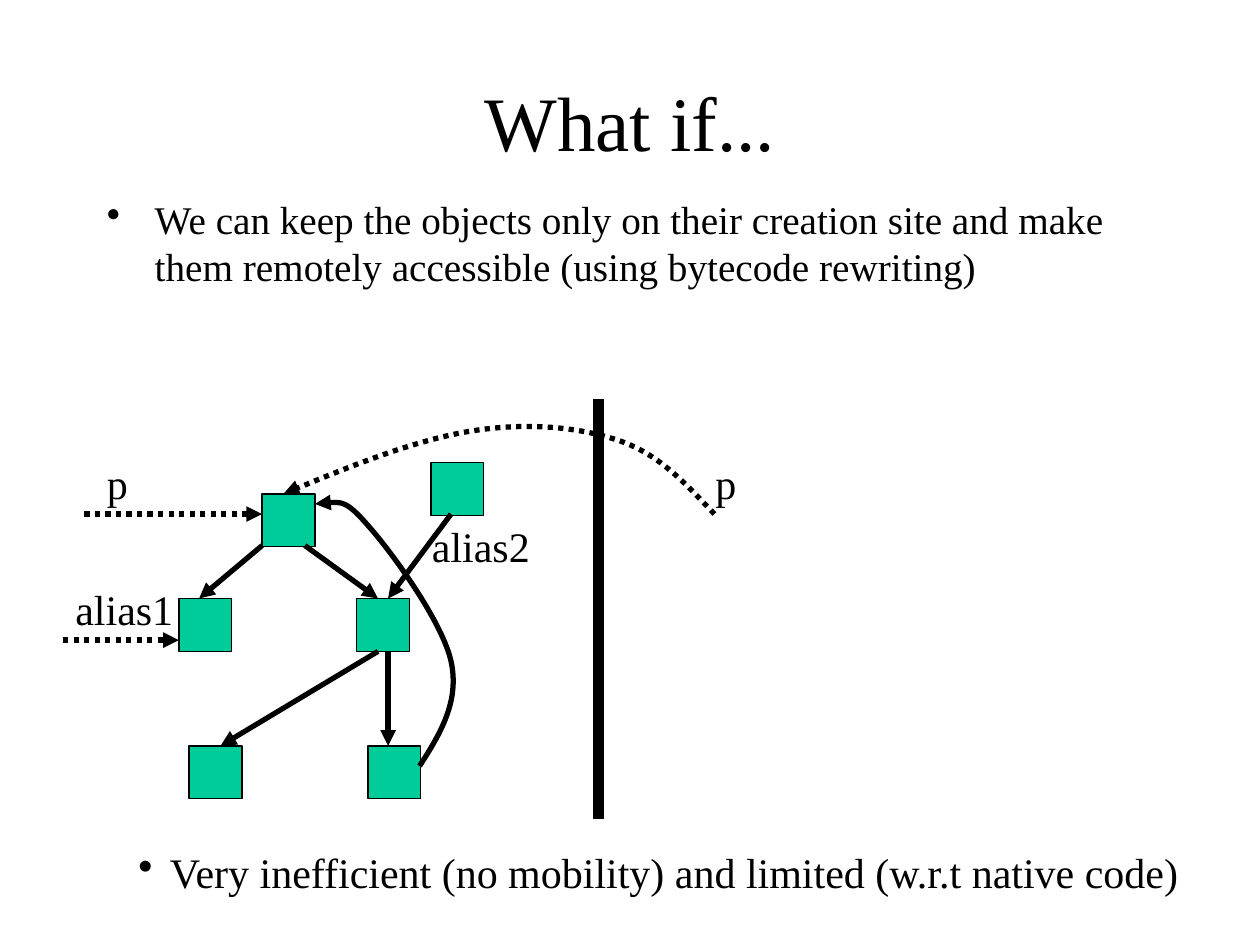
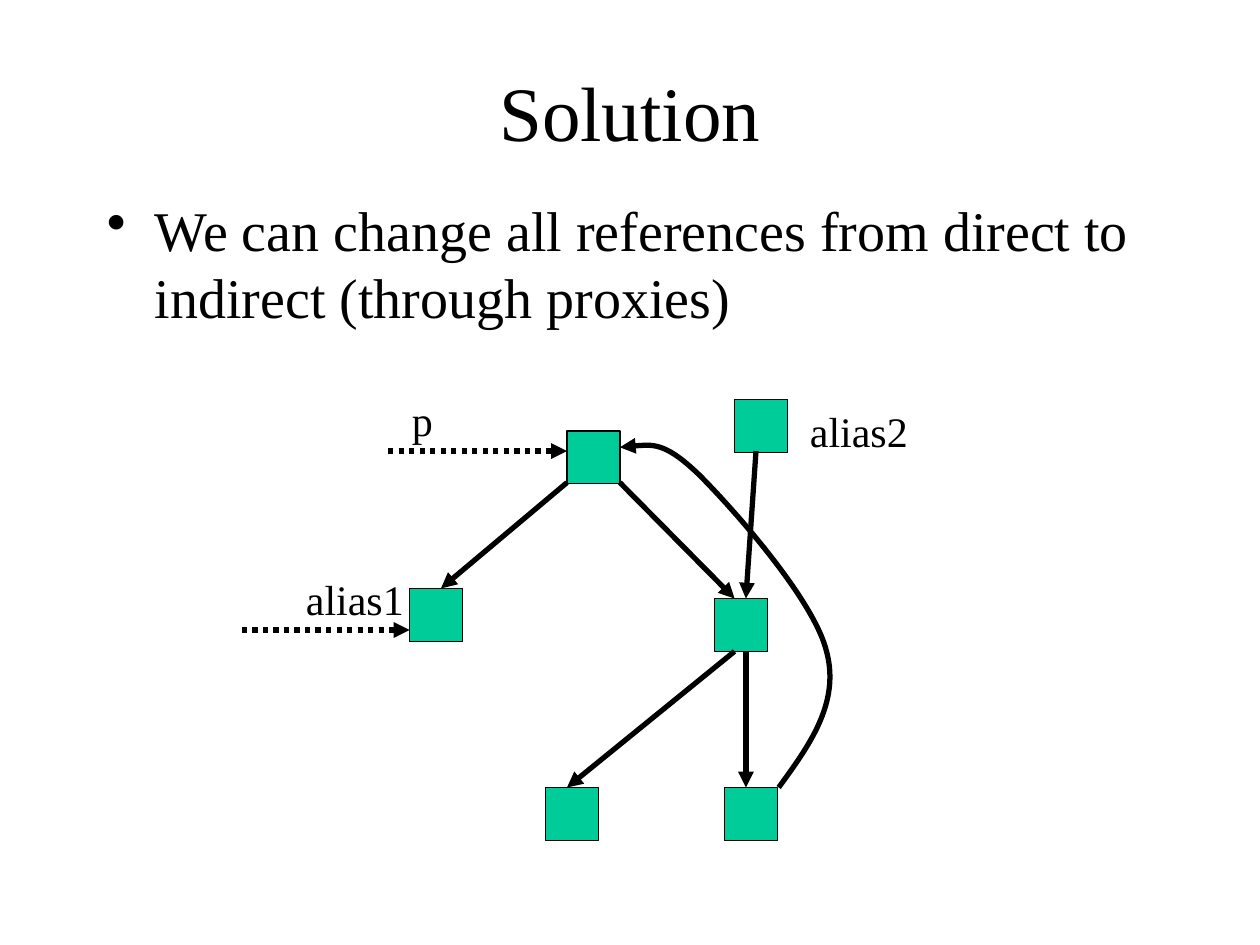
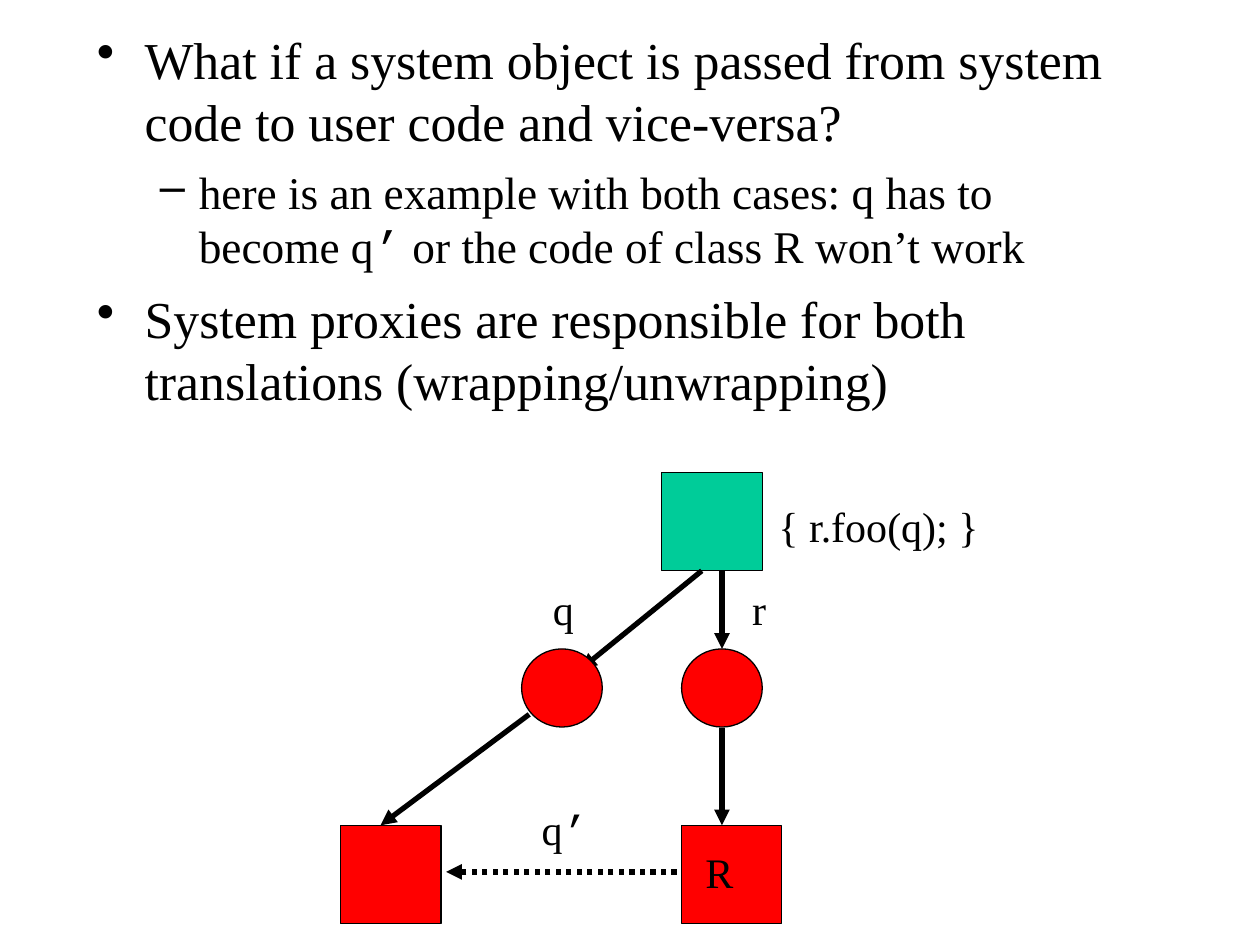
from lxml import etree
from pptx import Presentation
from pptx.dml.color import RGBColor
from pptx.enum.dml import MSO_LINE
from pptx.enum.shapes import MSO_CONNECTOR, MSO_SHAPE
from pptx.enum.text import MSO_ANCHOR, PP_ALIGN
from pptx.oxml.ns import qn
from pptx.util import Inches, Pt

BLACK = RGBColor(0x00, 0x00, 0x00)
USER_GREEN = RGBColor(0x00, 0xCC, 0x99)
SYSTEM_RED = RGBColor(0xFF, 0x00, 0x00)
FONT, CODE_FONT = "Times New Roman", "Courier New"
NODE = 0.42

# Bullet styles: character, left margin, hanging indent, space before
POINT = ("•", 0.38, -0.38, 8)
SUBPOINT = ("–", 0.81, -0.31, 7)
CONCLUSION = ("•", 1.25, -0.25, 6)


def add_text(slide, box, paragraphs):
    """Each paragraph is (text, size, bullet style or None)."""
    frame = slide.shapes.add_textbox(*map(Inches, box)).text_frame
    frame.word_wrap = True
    for i, (text, size, bullet) in enumerate(paragraphs):
        paragraph = frame.add_paragraph() if i else frame.paragraphs[0]
        before, prime, after = text.partition("’") if "q’" in text else (text, "", "")
        for part in filter(None, (before, prime, after)):
            run = paragraph.add_run()
            run.text = part
            run.font.name = CODE_FONT if part == "’" else FONT
            run.font.size = Pt(size)
            run.font.color.rgb = BLACK
        if bullet:
            mark, margin, indent, space = bullet
            paragraph.space_before = Pt(space)
            props = paragraph._p.get_or_add_pPr()
            props.set("marL", str(Inches(margin)))
            props.set("indent", str(Inches(indent)))
            etree.SubElement(props, qn("a:buChar")).set("char", mark)
    return frame


def style_line(shape, width=3, dotted=False, arrow=True):
    shape.line.color.rgb = BLACK
    shape.line.width = Pt(width)
    if dotted:
        shape.line.dash_style = MSO_LINE.ROUND_DOT
    if arrow:
        etree.SubElement(shape.line._get_or_add_ln(), qn("a:tailEnd")).set("type", "triangle")
    if shape._element.spPr.find(qn("a:effectLst")) is None:
        etree.SubElement(shape._element.spPr, qn("a:effectLst"))


# Content: nodes are (left, top), arrows (x1, y1, x2, y2),
# curves a start point followed by Bézier control points
remote_access = {
    "title": ("What if...", 0.33),
    "texts": [
        ((0.75, 1.5, 8.5, 1.25), [
            ("We can keep the objects only on their creation site and make them "
             "remotely accessible (using bytecode rewriting)", 22.4, POINT)]),
        ((0, 6.67, 10, 0.67), [
            ("Very inefficient (no mobility) and limited (w.r.t native code)", 24, CONCLUSION)]),
    ],
    "boxes": [(x, y, NODE, NODE, USER_GREEN) for x, y in (
        (2.08, 3.92), (1.5, 5.92), (2.92, 5.92), (1.42, 4.75), (2.83, 4.75), (3.42, 3.67))],
    "arrows": [(2.08, 4.33, 1.58, 4.75), (2.42, 4.33, 3, 4.75), (3.08, 5.17, 3.08, 5.92),
               (3, 5.17, 1.75, 5.92), (3.58, 4.08, 3.08, 4.75)],
    "dotted": [(0.67, 4.08, 2.08, 4.08), (0.5, 5.08, 1.42, 5.08)],
    "divider": [(4.75, 3.17, 4.75, 6.5)],
    "curves": [
        (False, [(3.33, 6.08), (3.49, 5.83), (3.65, 5.57), (3.58, 5.25), (3.51, 4.93),
                 (3.1, 4.37), (2.92, 4.17), (2.74, 3.96), (2.62, 3.98), (2.5, 4)]),
        (True, [(5.67, 4.08), (5.45, 3.85), (5.24, 3.61), (4.92, 3.5), (4.6, 3.39),
                (4.19, 3.35), (3.75, 3.42), (3.31, 3.49), (2.78, 3.7), (2.25, 3.92)]),
    ],
    "labels": [("p", 0.75, 3.58, 0.58), ("p", 5.58, 3.58, 0.58),
               ("alias1", 0.5, 4.58, 1), ("alias2", 3.33, 4.08, 1)],
}
solution = {
    "title": ("Solution", 0.25),
    "texts": [((0.75, 1.5, 8.5, 1.25), [
        ("We can change all references from direct to indirect (through proxies)", 32, POINT)])],
    "boxes": [(x, y, NODE, NODE, USER_GREEN) for x, y in (
        (4.5, 3.42), (4.33, 6.25), (5.75, 6.25), (3.25, 4.67), (5.67, 4.75), (5.83, 3.17))],
    "arrows": [(4.5, 3.83, 3.5, 4.67), (4.92, 3.83, 5.83, 4.75), (5.92, 5.17, 5.92, 6.25),
               (5.83, 5.17, 4.5, 6.25), (6, 3.58, 5.92, 4.75)],
    "dotted": [(3.08, 3.58, 4.5, 3.58), (1.92, 5, 3.25, 5)],
    "curves": [(False, [(6.18, 6.25), (6.42, 5.92), (6.67, 5.58), (6.56, 5.17), (6.46, 4.76),
                        (5.82, 4.04), (5.55, 3.77), (5.27, 3.5), (5.1, 3.53), (4.92, 3.55)])],
    "labels": [("p", 3.17, 3.08, 0.58), ("alias1", 2.33, 4.5, 1), ("alias2", 6.33, 3.17, 1)],
}
system_objects = {
    "texts": [((0.67, 0.17, 8.5, 3.17), [
        ("What if a system object is passed from system code to user code and vice-versa?",
         29.6, POINT),
        ("here is an example with both cases: q has to become q’ or the code of class R "
         "won’t work", 25.9, SUBPOINT),
        ("System proxies are responsible for both translations (wrapping/unwrapping)",
         29.6, POINT)])],
    "boxes": [(2.7, 6.55, 0.8, 0.78, SYSTEM_RED), (5.41, 6.55, 0.79, 0.78, SYSTEM_RED),
              (5.25, 3.75, 0.8, 0.78, USER_GREEN)],
    "arrows": [(5.73, 5.78, 5.73, 6.55), (5.57, 4.53, 4.61, 5.31),
               (4.2, 5.67, 3.02, 6.55), (5.73, 4.53, 5.73, 5.15)],
    "dotted": [(5.37, 6.92, 3.54, 6.92)],
    "proxies": [(5.41, 5.15, 0.64, 0.62, SYSTEM_RED), (4.14, 5.15, 0.64, 0.62, SYSTEM_RED)],
    "labels": [("q", 4.29, 4.58, 0.58), ("r", 5.87, 4.58, 0.42), ("{ r.foo(q); }", 6.08, 3.92, 1.92),
               ("q’", 4.2, 6.33, 0.67), ("R", 5.5, 6.67, 0.58)],
}

deck = Presentation()
deck.slide_width, deck.slide_height = Inches(10), Inches(7.5)

for content in (remote_access, solution, system_objects):
    slide = deck.slides.add_slide(deck.slide_layouts[6])

    # Title and bullets
    if "title" in content:
        title, top = content["title"]
        heading = add_text(slide, (0.75, top, 8.5, 1.25), [(title, 44, None)])
        heading.vertical_anchor = MSO_ANCHOR.MIDDLE
        heading.paragraphs[0].alignment = PP_ALIGN.CENTER
    for box, paragraphs in content["texts"]:
        add_text(slide, box, paragraphs)

    # Objects, then their references, then the proxies above them
    for part in ("boxes", "arrows", "dotted", "divider", "proxies"):
        for *place, last in content.get(part, []):
            if part in ("boxes", "proxies"):
                kind = MSO_SHAPE.OVAL if part == "proxies" else MSO_SHAPE.RECTANGLE
                node = slide.shapes.add_shape(kind, *map(Inches, place))
                node.shadow.inherit = False
                node.fill.solid()
                node.fill.fore_color.rgb = last
                style_line(node, 0.75, arrow=False)
            else:
                reference = slide.shapes.add_connector(
                    MSO_CONNECTOR.STRAIGHT, *map(Inches, (*place, last)))
                style_line(reference, 6 if part == "divider" else 3,
                           part == "dotted", part != "divider")

    # Curved references: every three line segments become one Bézier segment
    for dotted, points in content.get("curves", []):
        start, *controls = [(Inches(x), Inches(y)) for x, y in points]
        builder = slide.shapes.build_freeform(*start)
        builder.add_line_segments(controls, close=False)
        curve = builder.convert_to_shape()
        curve.shadow.inherit = False
        curve.fill.background()
        style_line(curve, dotted=dotted)
        segments = list(curve._element.iter(qn("a:lnTo")))
        for i in range(0, len(segments), 3):
            bezier = etree.SubElement(segments[i].getparent(), qn("a:cubicBezTo"))
            for segment in segments[i:i + 3]:
                bezier.append(segment[0])
                segment.getparent().remove(segment)

    # Reference names
    for name, left, top, width in content["labels"]:
        label = add_text(slide, (left, top, width, 0.5), [(name, 24, None)])
        label.paragraphs[0].space_before = Pt(15)

deck.save("out.pptx")
